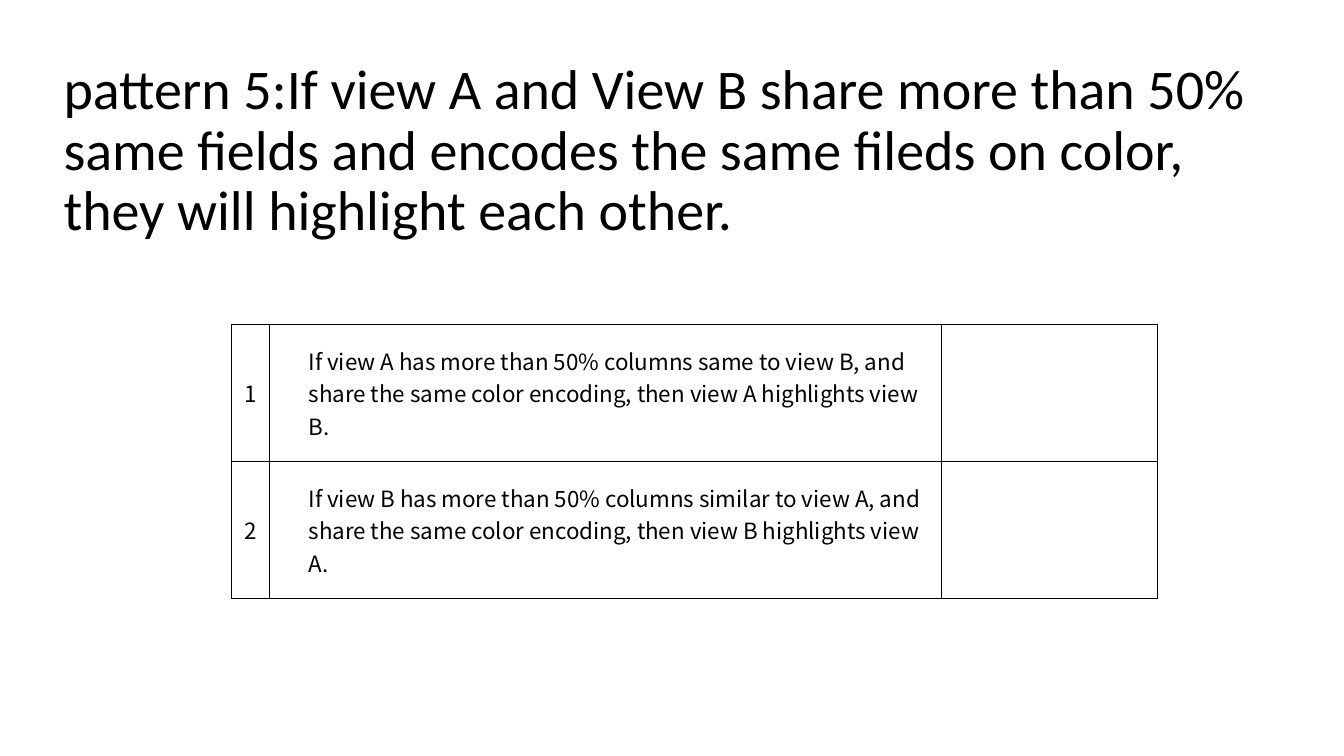
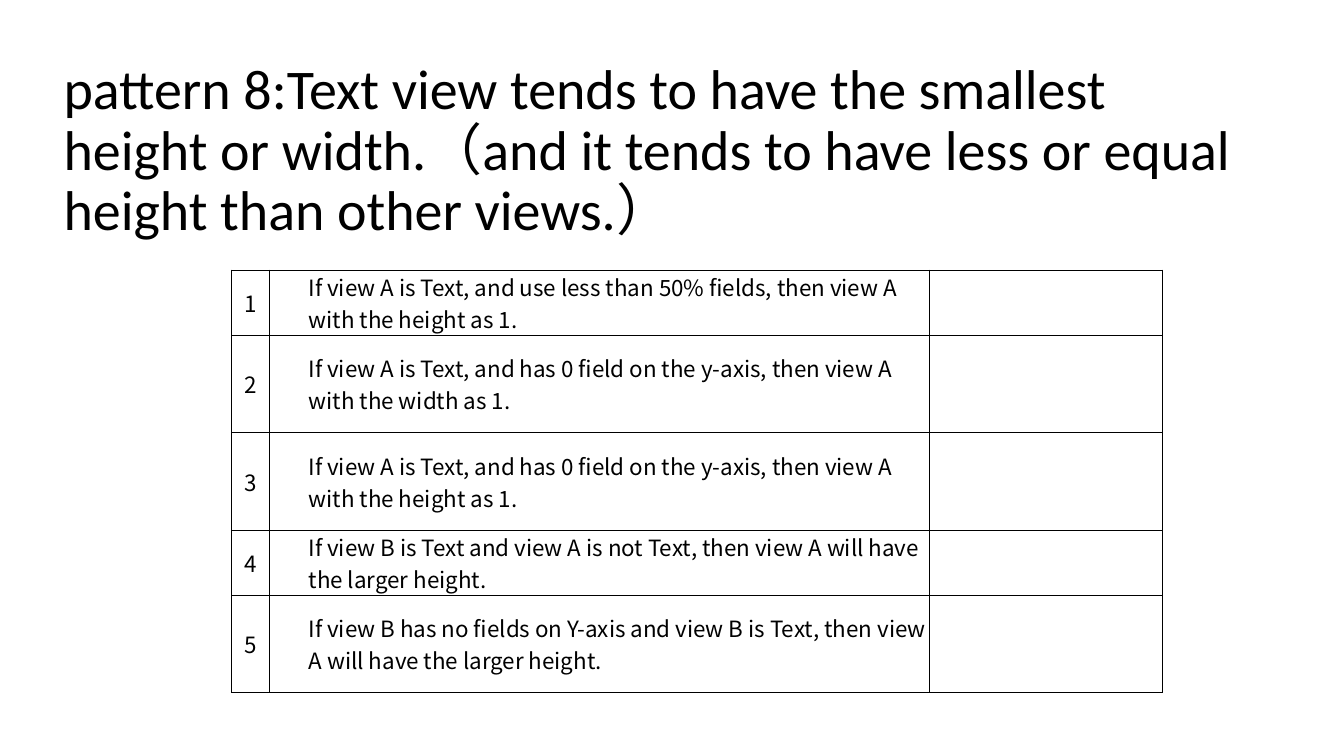
"""Build two slides that each state a layout pattern and list its rules."""
from dataclasses import dataclass

from lxml.etree import SubElement as Sub
from pptx import Presentation
from pptx.dml.color import RGBColor as Rgb
from pptx.enum.text import MSO_ANCHOR as Anchor, MSO_AUTO_SIZE as Fit, PP_ALIGN as Align
from pptx.oxml.ns import qn
from pptx.util import Inches, Pt

WIDE, HIGH = Inches(13.33), Inches(7.5)
HUES = {"ink": "000000", "page": "FFFFFF"}
FACE, CJK = "Calibri", "Noto Sans CJK SC"
LEFT, INDENT = 17.25, 2.93
SHORT, TALL = 8.58, 12.92


@dataclass(frozen=True)
class Rule:
    text: str
    high: float


@dataclass(frozen=True)
class Pattern:
    title: str
    top: float
    cols: tuple[float, ...]
    rules: tuple[Rule, ...]


PATTERNS = (
    Pattern(
        "pattern 5:If view A and View B share more than 50% same fields and "
        "encodes the same fileds on color, they will highlight each other.",
        42.93, (2.78, 50.03, 16.05),
        (
            Rule("If view A has more than 50% columns same to view B, and share the "
                 "same color encoding, then view A highlights view B.", 18.13),
            Rule("If view B has more than 50% columns similar to view A, and share the "
                 "same color encoding, then view B highlights view A.", 18.13),
        ),
    ),
    Pattern(
        "pattern 8:Text view tends to have the smallest height or width."
        "（and it tends to have less or equal height than other views.）",
        35.73, (2.78, 49.13, 17.33),
        (
            Rule("If view A is Text, and use less than 50% fields, then view A "
                 "with the height as 1.", SHORT),
            Rule("If view A is Text, and has 0 field on the y-axis, then view A "
                 "with the width as 1.", TALL),
            Rule("If view A is Text, and has 0 field on the y-axis, then view A "
                 "with the height as 1.", TALL),
            Rule("If view B is Text and view A is not Text, then view A will have "
                 "the larger height.", SHORT),
            Rule("If view B has no fields on Y-axis and view B is Text, then view A "
                 "will have the larger height.", TALL),
        ),
    ),
)


def across(share: float) -> int:
    """Turn a percentage of the slide's width into a length."""
    return round(WIDE * share / 100)


def down(share: float) -> int:
    """Turn a percentage of the slide's height into a length."""
    return round(HIGH * share / 100)


def write(frame, text: str, *, size: float, face: str = CJK,
          align: Align = Align.LEFT, lead: float = 1.0) -> None:
    """Put one formatted paragraph into a text frame."""
    frame.word_wrap = True
    para = frame.paragraphs[0]
    para.alignment, para.line_spacing = align, lead
    run = para.add_run()
    run.text = text
    run.font.size, run.font.name = Pt(size), face
    run.font.color.rgb = Rgb.from_string(HUES["ink"])
    east = Sub(run.font._element, qn("a:ea"))
    east.set("typeface", CJK)


def style(cell) -> None:
    """Give a cell thin borders, a plain fill and no margins."""
    props = cell._tc.get_or_add_tcPr()
    for side in "LRTB":
        line = Sub(props, qn(f"a:ln{side}"), w=str(Pt(0.75)))
        Sub(Sub(line, qn("a:solidFill")), qn("a:srgbClr"), val=HUES["ink"])
    cell.fill.solid()
    cell.fill.fore_color.rgb = Rgb.from_string(HUES["page"])
    cell.vertical_anchor = Anchor.MIDDLE
    cell.margin_left = cell.margin_right = cell.margin_top = cell.margin_bottom = 0


def head(slide, text: str) -> None:
    """Place and fill the slide's title."""
    title = slide.shapes.title
    title.left, title.top = across(3.98), down(11.33)
    title.width, title.height = across(90.25), down(21.47)
    frame = title.text_frame
    frame.auto_size, frame.vertical_anchor = Fit.NONE, Anchor.BOTTOM
    write(frame, text, size=40, face=FACE, lead=0.9)


def grid(slide, item: Pattern) -> None:
    """Draw the numbered table of rules."""
    table = slide.shapes.add_table(
        len(item.rules), len(item.cols), across(LEFT), down(item.top),
        across(sum(item.cols)), down(sum(rule.high for rule in item.rules))).table
    table.first_row = table.horz_banding = False
    for col, wide in zip(table.columns, item.cols):
        col.width = across(wide)
    for cell in table.iter_cells():
        style(cell)
    for num, (row, rule) in enumerate(zip(table.rows, item.rules), 1):
        row.height = down(rule.high)
        mark, body = row.cells[0], row.cells[1]
        write(mark.text_frame, str(num), size=16, align=Align.CENTER)
        body.margin_left = across(INDENT)
        write(body.text_frame, rule.text, size=16)


def main() -> None:
    """Build and save the deck."""
    deck = Presentation()
    deck.slide_width, deck.slide_height = WIDE, HIGH
    plain = deck.slide_layouts.get_by_name("Title Only")
    for item in PATTERNS:
        slide = deck.slides.add_slide(plain)
        head(slide, item.title)
        grid(slide, item)
    deck.save("out.pptx")


if __name__ == "__main__":
    main()
